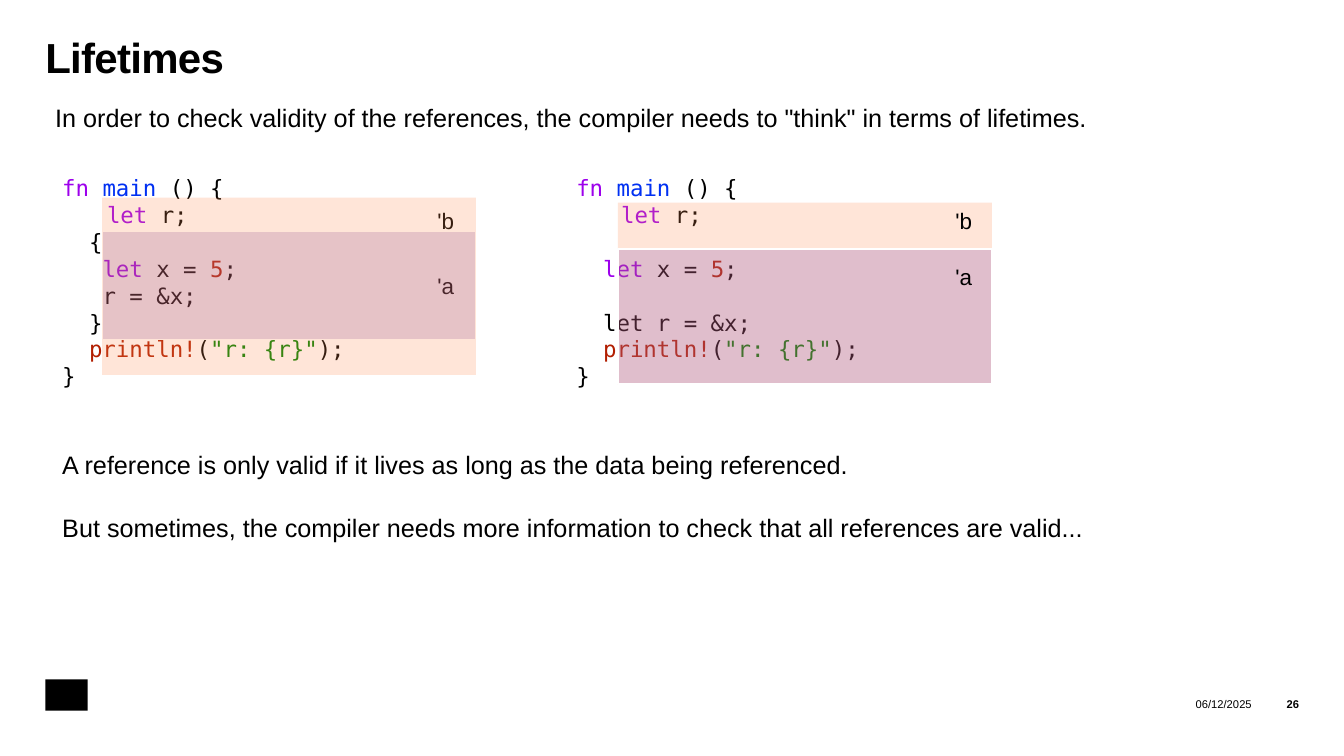
from pptx import Presentation
from pptx import util as u
from pptx.dml.color import RGBColor
from pptx.enum import shapes, text
from pptx.oxml.ns import qn
from lxml import etree

Pt = u.Pt
BLACK, KEYWORD, NAME = "000000", "9D00EC", "0030F2"
LITERAL, STRING = "B21E00", "008200"
ORANGE, PURPLE, WHITE = "FF8D4F", "7030A0", "FFFFFF"
LEFT, MIDDLE = text.MSO_ANCHOR.TOP, text.MSO_ANCHOR.MIDDLE

prs = Presentation()
prs.slide_width, prs.slide_height = Pt(960), Pt(540)
slide = prs.slides.add_slide(prs.slide_layouts[6])


def add_text(lines, x, y, w, h, size=18, font="Arial", bold=False, inset=(7.2, 3.6),
             align=text.PP_ALIGN.LEFT, anchor=text.MSO_ANCHOR.TOP, spacing=None, tracking=0):
    """Each line is (indent, space before, [(text, colour), ...]); a string is one black line."""
    if isinstance(lines, str):
        lines = [(0, 0, [(lines, BLACK)])]
    frame = slide.shapes.add_textbox(Pt(x), Pt(y), Pt(w), Pt(h)).text_frame
    frame.word_wrap = True
    frame.vertical_anchor = anchor
    frame.margin_left = frame.margin_right = Pt(inset[0])
    frame.margin_top = frame.margin_bottom = Pt(inset[1])
    for number, (indent, before, pieces) in enumerate(lines):
        para = frame.add_paragraph() if number else frame.paragraphs[0]
        para.alignment = align
        para.line_spacing = spacing
        para.space_before = Pt(before)
        para._p.get_or_add_pPr().set("marL", str(Pt(indent)))
        for words, colour in pieces:
            run = para.add_run()
            run.text = words
            run.font.name, run.font.size, run.font.bold = font, Pt(size), bold
            run.font.color.rgb = RGBColor.from_string(colour)
            if tracking:
                run.font._element.set("spc", str(int(tracking * 100)))


def add_block(x, y, w, h, colour, opacity=100, outline=None):
    block = slide.shapes.add_shape(shapes.MSO_SHAPE.RECTANGLE, Pt(x), Pt(y), Pt(w), Pt(h))
    block.shadow.inherit = False
    block.fill.solid()
    block.fill.fore_color.rgb = RGBColor.from_string(colour)
    if opacity < 100:
        tint = block.fill._xPr.find(qn("a:solidFill"))[0]
        etree.SubElement(tint, qn("a:alpha")).set("val", str(opacity * 1000))
    if outline:
        block.line.color.rgb = RGBColor.from_string(outline)
        block.line.width = Pt(1)
    else:
        block.line.fill.background()


# Heading and statements
add_block(32.4, 485.3, 30.2, 22.3, BLACK)
add_text("Lifetimes", 32.4, 26.6, 895.7, 85, size=30, bold=True, inset=(0, 0),
         spacing=0.9, tracking=-0.5)
statements = [
    (32.4, 69.8, 'In order to check validity of the references, the compiler needs to "think" in terms of lifetimes.'),
    (37.4, 317.5, "A reference is only valid if it lives as long as the data being referenced."),
    (37.4, 362.2, "But sometimes, the compiler needs more information to check that all references are valid..."),
]
for x, y, statement in statements:
    add_text(statement, x, y, 846.7, 28.8)

# Code listings
LINE, STEP = 19.2, 9.6
opening = [
    (0, 0, [("fn ", KEYWORD), ("main ", NAME), ("() {", BLACK)]),
    (32, 0, [("let", KEYWORD), (" r;", BLACK)]),
]
assign_x = [("let", KEYWORD), (" x = ", BLACK), ("5", LITERAL), (";", BLACK)]
closing = [
    (2 * STEP, 0, [("println!", LITERAL), ("(", BLACK), ('"r: {r}"', STRING), (");", BLACK)]),
    (0, 0, [("}", BLACK)]),
]
inner_scope = [
    (2 * STEP, 0, [("{", BLACK)]),
    (3 * STEP, 0, assign_x),
    (3 * STEP, 0, [("r = &x;", BLACK)]),
    (2 * STEP, 0, [("}", BLACK)]),
]
same_scope = [
    (2 * STEP, LINE, assign_x),
    (2 * STEP, LINE, [("let r = &x;", BLACK)]),
]
for x, body in ((37.4, inner_scope), (404.6, same_scope)):
    add_text(opening + body + closing, x, 121, 340, 206, size=16, font="DejaVu Sans Mono")

# Lifetime regions: the left labels lie below their regions, the right ones above
SPAN = 267.1
for label, y in (("'a", 190.8), ("'b", 144.7)):
    add_text(label, 305.3, y, 33, 26.6, size=16)
add_block(72.9, 165.6, SPAN, 77, PURPLE, 21, WHITE)
add_block(72.9, 141.1, SPAN, 126.7, ORANGE, 22)

add_block(441.4, 144.7, SPAN, 130.3, ORANGE, 22)
add_block(441.4, 177.8, SPAN, 96.5, PURPLE, 21, WHITE)
for label, y in (("'b", 144.7), ("'a", 184.3)):
    add_text(label, 675.4, y, 33, 26.6, size=16)

# Footer
for words, x, w, bold in (("06/12/2025", 803.5, 90.7, False), ("26", 894.2, 33.8, True)):
    add_text(words, x, 496.8, w, 11.5, size=8, bold=bold, inset=(0, 0),
             align=text.PP_ALIGN.RIGHT, anchor=MIDDLE)

prs.save("out.pptx")
